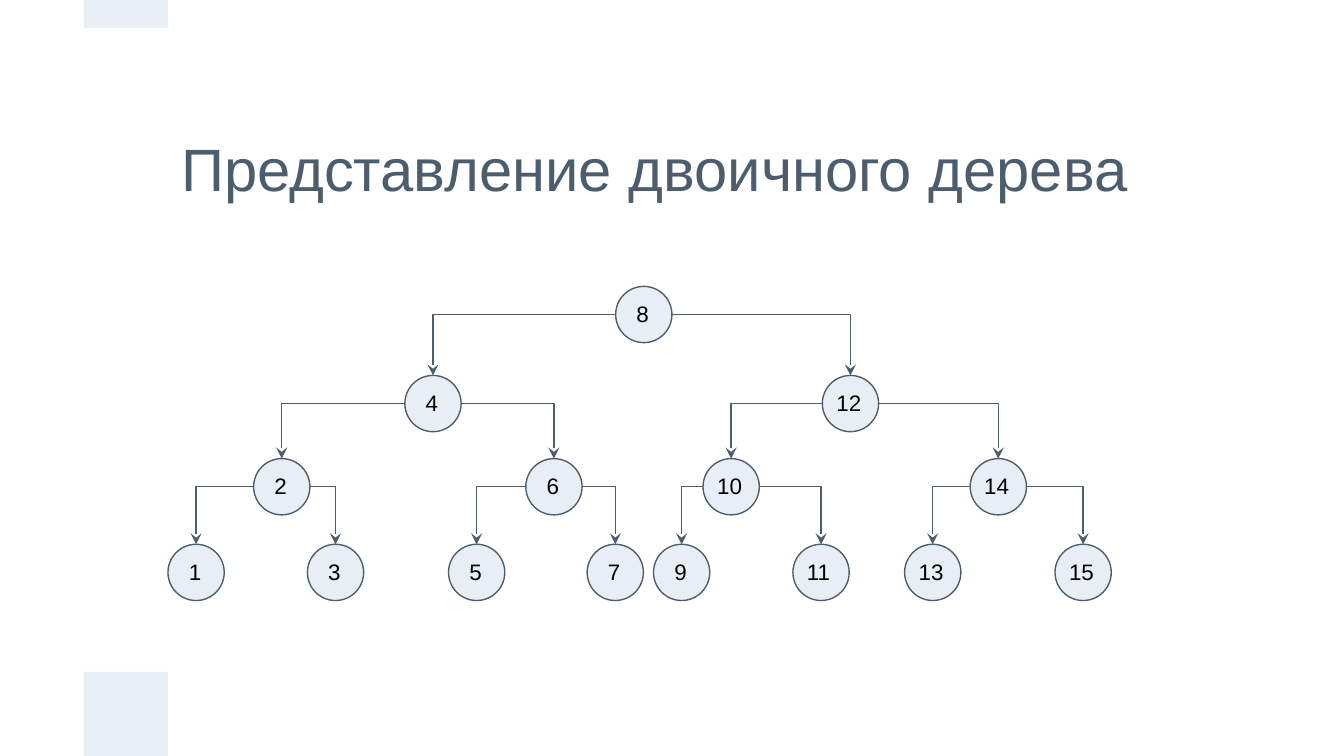
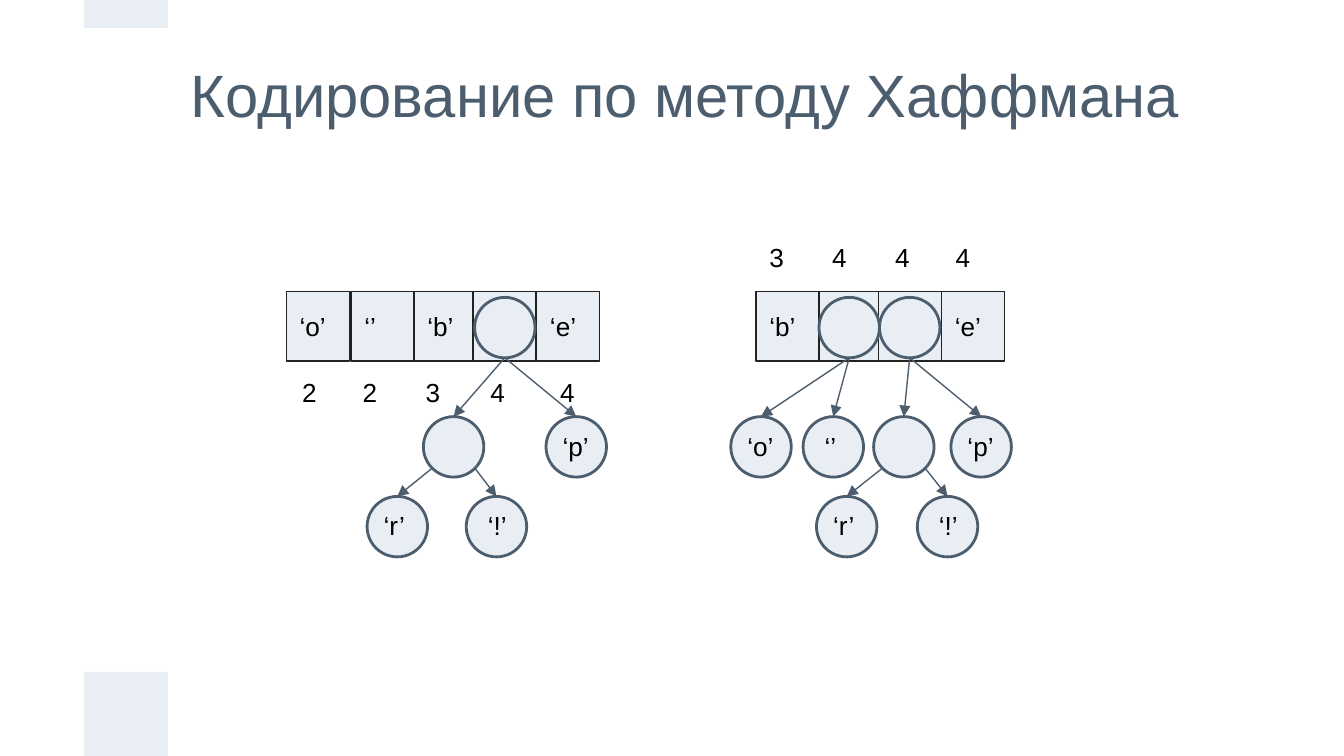
import collections

import pptx
import pptx.dml.color
import pptx.enum.shapes
import pptx.enum.text
import pptx.oxml.ns
import pptx.util
from lxml import etree

COLORS = {
    "paper": "FFFFFF",
    "pale": "E9EDF4",
    "slate": "4C5D6E",
    "cell_edge": "222222",
    "ink": "000000",
}
FONT = "Arial"
WIDTH, HEIGHT = 10, 5.625
COLUMNS = 16
GRID = WIDTH / COLUMNS  # one square grid step, in inches
INSET = 0.1
PRESET = pptx.enum.shapes.MSO_SHAPE
ANCHOR = pptx.enum.text.MSO_ANCHOR

# Every box is counted in grid columns and rows.
Box = collections.namedtuple("Box", "left top width height")
Tree = collections.namedtuple("Tree", "label column children", defaults=["", 0, ()])

# Left edge of each key's node, in columns from the left of the tree.
KEY_COLUMNS = [0, 1.02, 1.66, 2.82, 3.34, 4.26, 4.99, 5.33,
               5.78, 6.37, 7.44, 7.79, 8.77, 9.55, 10.56]
LEVEL_ROWS = [0, 1.06, 2.05, 3.07]
KEY_SIZE = 0.67

QUEUE_ROW, CELL_WIDTH, CELL_HEIGHT = 0.7, 0.75, 0.83
FOREST_ROWS = [0.77, 2.19, 3.14]
SYMBOL_SIZE = 0.72
# Each forest: queue cells, then weights, as (text, column), then trees.
FORESTS = [
    dict(
        box=Box(3.41, 2.77, 3.81, 3.86),
        queue=[("‘o’", 0), ("‘’", 0.77), ("‘b’", 1.52), ("", 2.22), ("‘e’", 2.98)],
        weights=[("2", 0.03), ("2", 0.75), ("3", 1.5), ("4", 2.27), ("4", 3.1)],
        weight_row=1.6,
        trees=[Tree("", 2.24, (
            Tree("", 1.63, (Tree("‘r’", 0.96), Tree("‘!’", 2.14))),
            Tree("‘p’", 3.09),
        ))],
    ),
    dict(
        box=Box(8.7, 2.77, 3.34, 3.86),
        queue=[("‘b’", 0.3), ("", 1.05), ("", 1.76), ("‘e’", 2.51)],
        weights=[("3", 0.3), ("4", 1.05), ("4", 1.8), ("4", 2.52)],
        weight_row=0,
        trees=[
            Tree("", 1.05, (Tree("‘o’", 0), Tree("‘’", 0.86))),
            Tree("", 1.77, (
                Tree("", 1.7, (Tree("‘r’", 1.02), Tree("‘!’", 2.22))),
                Tree("‘p’", 2.62),
            )),
        ],
    ),
]


def grid(steps):
    return pptx.util.Inches(steps * GRID)


def color(name):
    return pptx.dml.color.RGBColor.from_string(COLORS[name])


def within(box, left, top, width, height):
    """Box placed relative to the corner of another."""
    return Box(box.left + left, box.top + top, width, height)


def write(shape, text, size, ink="ink", anchor=ANCHOR.MIDDLE):
    frame = shape.text_frame
    frame.word_wrap = True
    frame.vertical_anchor = anchor
    frame.margin_left = frame.margin_right = pptx.util.Inches(INSET)
    frame.margin_top = frame.margin_bottom = pptx.util.Inches(INSET)
    frame.text = text
    paragraph = frame.paragraphs[0]
    paragraph.alignment = pptx.enum.text.PP_ALIGN.LEFT
    for run in paragraph.runs:
        run.font.name = FONT
        run.font.size = pptx.util.Pt(size)
        run.font.color.rgb = color(ink)


def add_text(slide, box, text, size, **style):
    write(slide.shapes.add_textbox(*map(grid, box)), text, size, **style)


def add_figure(slide, preset, box, edge=None, weight=0.75):
    figure = slide.shapes.add_shape(preset, *map(grid, box))
    figure.shadow.inherit = False
    figure.fill.solid()
    figure.fill.fore_color.rgb = color("pale")
    if edge:
        figure.line.color.rgb = color(edge)
        figure.line.width = pptx.util.Pt(weight)
    else:
        figure.line.fill.background()
    return figure


def add_arrow(slide, start, end, head, bent=False):
    kind = pptx.enum.shapes.MSO_CONNECTOR.STRAIGHT
    arrow = slide.shapes.add_connector(kind, *map(grid, start + end))
    arrow.line.color.rgb = color("slate")
    arrow.line.width = pptx.util.Pt(0.75)
    qn = pptx.oxml.ns.qn
    properties = arrow.line._get_or_add_ln().getparent()
    if bent:
        properties.find(qn("a:prstGeom")).set("prst", "bentConnector2")
    etree.SubElement(properties.find(qn("a:ln")), qn("a:tailEnd"), type=head)
    etree.SubElement(properties, qn("a:effectLst"))


def add_page(deck, title, title_box):
    """Blank slide with the two left bands and a title."""
    slide = deck.slides.add_slide(deck.slide_layouts[6])
    slide.background.fill.solid()
    slide.background.fill.fore_color.rgb = color("paper")
    for band in (Box(1, 8, 1, 1), Box(1, 0, 1, 1 / 3)):
        add_figure(slide, PRESET.RECTANGLE, band)
    add_text(slide, title_box, title, 32, ink="slate")
    return slide


def add_search_tree(slide, box):
    """Binary tree whose keys count up from left to right."""
    nodes, steps = {}, {}
    for key, column in enumerate(KEY_COLUMNS, 1):
        steps[key] = key & -key  # 8 at the root, 1 at the leaves
        level = len(LEVEL_ROWS) - steps[key].bit_length()
        nodes[key] = within(box, column, LEVEL_ROWS[level], KEY_SIZE, KEY_SIZE)
        add_figure(slide, PRESET.OVAL, nodes[key], "slate")

    for key, node in nodes.items():
        reach = steps[key] // 2
        if not reach:
            continue
        middle = node.top + KEY_SIZE / 2
        for child, side in ((nodes[key - reach], 0), (nodes[key + reach], 1)):
            add_arrow(slide, (node.left + side * KEY_SIZE, middle),
                      (child.left + KEY_SIZE / 2, child.top), "stealth", bent=True)

    for key, node in nodes.items():
        indent, width = (0.09, 0.53) if key < 10 else (0.01, KEY_SIZE)
        add_text(slide, within(node, indent, 0, width, 0.66), str(key), 12,
                 anchor=ANCHOR.TOP)


def add_code_tree(slide, box, tree, depth=0):
    """Draws a tree and the trees below it; returns the top node's box."""
    node = within(box, tree.column, FOREST_ROWS[depth], SYMBOL_SIZE, SYMBOL_SIZE)
    add_figure(slide, PRESET.OVAL, node, "slate", 1.5)
    if tree.label:
        indent = 0.1 if tree.label in ("‘’", "‘!’") else 0.04
        add_text(slide, within(node, indent, 0, 0.75, 0.7), tree.label, 14,
                 anchor=ANCHOR.TOP)
    # A root's arrows leave its lowest point, an inner node's its lower corners.
    exits = [(0.5, 1), (0.5, 1)] if depth == 0 else [(0.15, 0.85), (0.85, 0.85)]
    for branch, (across, down) in zip(tree.children, exits):
        child = add_code_tree(slide, box, branch, depth + 1)
        add_arrow(slide,
                  (node.left + across * SYMBOL_SIZE, node.top + down * SYMBOL_SIZE),
                  (child.left + SYMBOL_SIZE / 2, child.top), "triangle")
    return node


def add_forest(slide, box, queue, weights, weight_row, trees):
    """Queue of symbols with their weights and the trees hanging from it."""
    for symbol, column in queue:
        cell = add_figure(slide, PRESET.RECTANGLE,
                          within(box, column, QUEUE_ROW, CELL_WIDTH, CELL_HEIGHT),
                          "cell_edge")
        if symbol:
            write(cell, symbol, 14)
    for weight, column in weights:
        add_text(slide, within(box, column, weight_row, CELL_WIDTH, 0.59), weight, 14)
    for tree in trees:
        add_code_tree(slide, box, tree)


def main():
    deck = pptx.Presentation()
    deck.slide_width = pptx.util.Inches(WIDTH)
    deck.slide_height = pptx.util.Inches(HEIGHT)

    search = add_page(deck, "Представление двоичного дерева", Box(2, 1, 12, 2))
    add_search_tree(search, Box(2, 3.41, 11.23, 3.74))

    huffman = add_page(deck, "Кодирование по методу Хаффмана",
                       Box(2.11, 0.11, 12.86, 2))
    for forest in FORESTS:
        add_forest(huffman, **forest)

    deck.save("out.pptx")


if __name__ == "__main__":
    main()
